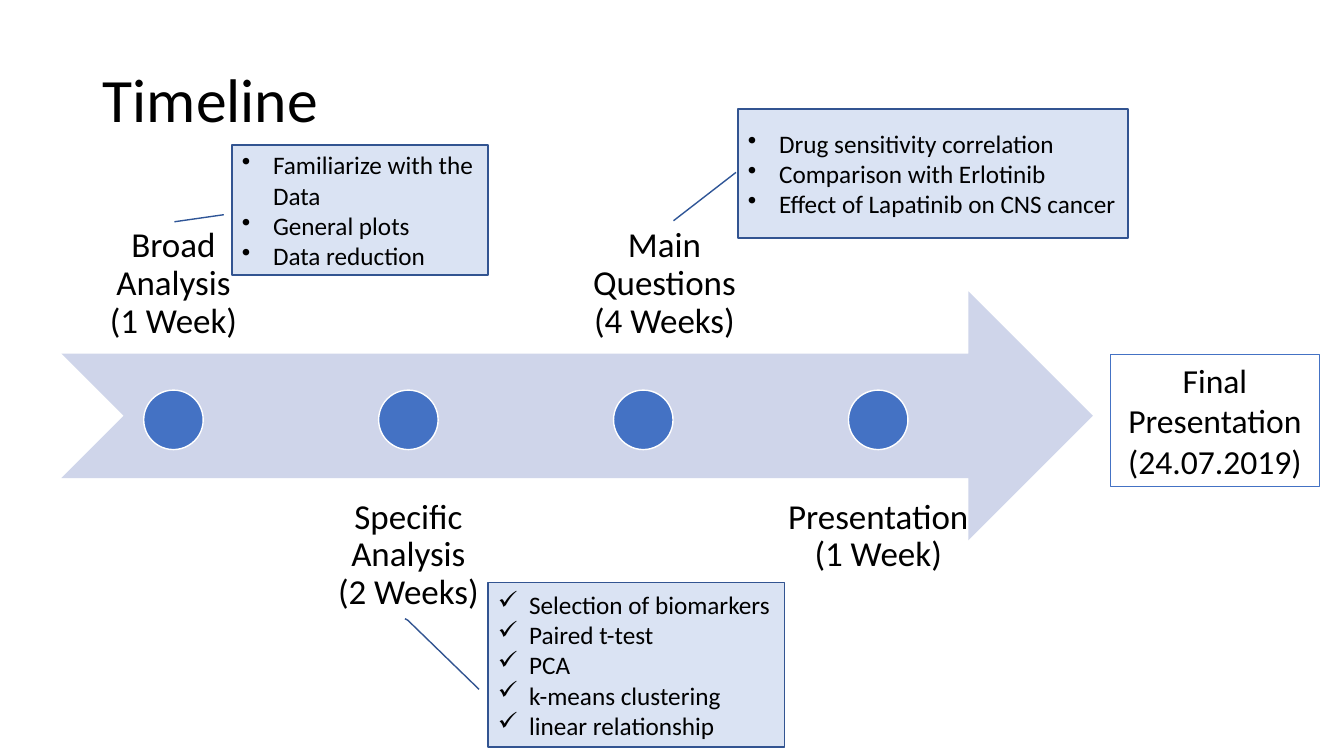
"""Build a project timeline slide with four stages and their task boxes."""
from dataclasses import dataclass

from lxml.etree import SubElement
from pptx import Presentation
from pptx.dml.color import RGBColor
from pptx.enum.shapes import MSO_CONNECTOR, MSO_SHAPE
from pptx.enum.text import MSO_ANCHOR, PP_ALIGN
from pptx.oxml.ns import qn
from pptx.util import Inches, Pt


@dataclass(frozen=True)
class Theme:
    font: str = "Calibri"
    ink: str = "000000"
    paper: str = "FFFFFF"
    arrow: str = "CFD5EA"
    accent: str = "4472C4"
    task_fill: str = "DAE3F3"
    task_line: str = "325491"
    leader: str = "2F5597"
    title_size: int = 44
    stage_size: int = 25
    final_size: int = 24
    task_size: int = 18


THEME = Theme()
WIDTH, HEIGHT = 13.33, 7.5
FIRST_CENTER, COLUMN = 1.72, 2.33
DOT, DOT_TOP = 0.59, 3.87
LABEL_WIDTH, LABEL_HEIGHT, LABEL_INSET = 2.22, 2.37, 0.19
LABEL_TOPS = (1.2, 4.76)
BULLET_INDENT = 0.31

TITLE = "Timeline"
STAGES = [
    ("Broad Analysis", "(1 Week)", 0),
    ("Specific Analysis", "(2 Weeks)", 0),
    ("Main Questions", "(4 Weeks)", 0.21),
    ("Presentation", "(1 Week)", 0),
]
FINAL = ("Final Presentation", "(24.07.2019)")
TASKS = [
    (MSO_SHAPE.RECTANGLE, (2.3, 1.44, 2.54, 1.29), "•",
     ["Familiarize with the Data", "General plots", "Data reduction"]),
    (MSO_SHAPE.LINE_CALLOUT_2, (4.84, 5.78, 2.94, 1.63), "✓",
     ["Selection of biomarkers", "Paired t-test", "PCA",
      "k-means clustering", "linear relationship"]),
    (MSO_SHAPE.RECTANGLE, (7.32, 1.08, 3.87, 1.28), "•",
     ["Drug sensitivity correlation", "Comparison with Erlotinib",
      "Effect of Lapatinib on CNS cancer"]),
]
CALLOUT_BENDS = (0.65, -0.03, 0.23, -0.27, 0.22, -0.28)
LEADERS = [(1.73, 2.2, 2.22, 2.13), (6.68, 2.19, 7.3, 1.71)]


def color(value):
    return RGBColor.from_string(value)


def style(para, size, align=PP_ALIGN.LEFT, spacing=None):
    para.alignment = align
    para.line_spacing = spacing
    para.font.name = THEME.font
    para.font.size = Pt(size)
    para.font.color.rgb = color(THEME.ink)


def add_box(page, kind, place, fill=None, line=None, weight=1):
    box = page.shapes.add_shape(kind, *map(Inches, place))
    box.shadow.inherit = False
    box.text_frame.word_wrap = True
    if fill:
        box.fill.solid()
        box.fill.fore_color.rgb = color(fill)
    else:
        box.fill.background()
    if line:
        box.line.color.rgb = color(line)
        box.line.width = Pt(weight)
    else:
        box.line.fill.background()
    return box


def add_title(page):
    title = page.shapes.title
    title.left, title.top, title.width, title.height = map(Inches, (0.92, 0.29, 11.5, 1.45))
    title.text_frame.text = TITLE
    title.text_frame.vertical_anchor = MSO_ANCHOR.MIDDLE
    style(title.text_frame.paragraphs[0], THEME.title_size, spacing=0.9)


def add_stage(page, index, name, duration, nudge):
    center = FIRST_CENTER + index * COLUMN
    add_box(page, MSO_SHAPE.OVAL, (center - DOT / 2, DOT_TOP, DOT, DOT),
            THEME.accent, THEME.paper)
    below = index % 2
    place = (center + nudge - LABEL_WIDTH / 2, LABEL_TOPS[below], LABEL_WIDTH, LABEL_HEIGHT)
    frame = page.shapes.add_textbox(*map(Inches, place)).text_frame
    frame.word_wrap = True
    frame.vertical_anchor = MSO_ANCHOR.TOP if below else MSO_ANCHOR.BOTTOM
    frame.margin_left = frame.margin_right = Inches(LABEL_INSET)
    frame.margin_top = frame.margin_bottom = Inches(LABEL_INSET)
    para = frame.paragraphs[0]
    para.text = f"{name}\v{duration}"
    style(para, THEME.stage_size, PP_ALIGN.CENTER, 0.9)


def add_tasks(page, kind, place, bullet, tasks):
    box = add_box(page, kind, place, THEME.task_fill, THEME.task_line)
    if kind == MSO_SHAPE.LINE_CALLOUT_2:
        for index, bend in enumerate(CALLOUT_BENDS):
            box.adjustments[index] = bend
    frame = box.text_frame
    frame.vertical_anchor = MSO_ANCHOR.MIDDLE
    frame.text = "\n".join(tasks)
    for para in frame.paragraphs:
        properties = para._p.get_or_add_pPr()
        properties.set("marL", str(Inches(BULLET_INDENT)))
        properties.set("indent", str(-Inches(BULLET_INDENT)))
        SubElement(properties, qn("a:buChar")).set("char", bullet)
        style(para, THEME.task_size)


def add_leader(page, ends):
    leader = page.shapes.add_connector(MSO_CONNECTOR.STRAIGHT, *map(Inches, ends))
    leader.line.color.rgb = color(THEME.leader)
    leader.line.width = Pt(1)
    SubElement(leader._element.spPr, qn("a:effectLst"))


def add_final(page):
    box = add_box(page, MSO_SHAPE.RECTANGLE, (11.01, 3.52, 2.08, 1.31),
                  line=THEME.accent, weight=0.75)
    box.text_frame.vertical_anchor = MSO_ANCHOR.TOP
    para = box.text_frame.paragraphs[0]
    para.text = "\v".join(FINAL)
    style(para, THEME.final_size, PP_ALIGN.CENTER)


def main():
    deck = Presentation()
    deck.slide_width, deck.slide_height = Inches(WIDTH), Inches(HEIGHT)
    page = deck.slides.add_slide(deck.slide_layouts[5])
    add_title(page)
    add_box(page, MSO_SHAPE.NOTCHED_RIGHT_ARROW, (0.61, 2.89, 10.23, 2.47), THEME.arrow)
    for index, stage in enumerate(STAGES):
        add_stage(page, index, *stage)
    for task_box in TASKS:
        add_tasks(page, *task_box)
    for ends in LEADERS:
        add_leader(page, ends)
    add_final(page)
    deck.save("out.pptx")


if __name__ == "__main__":
    main()
